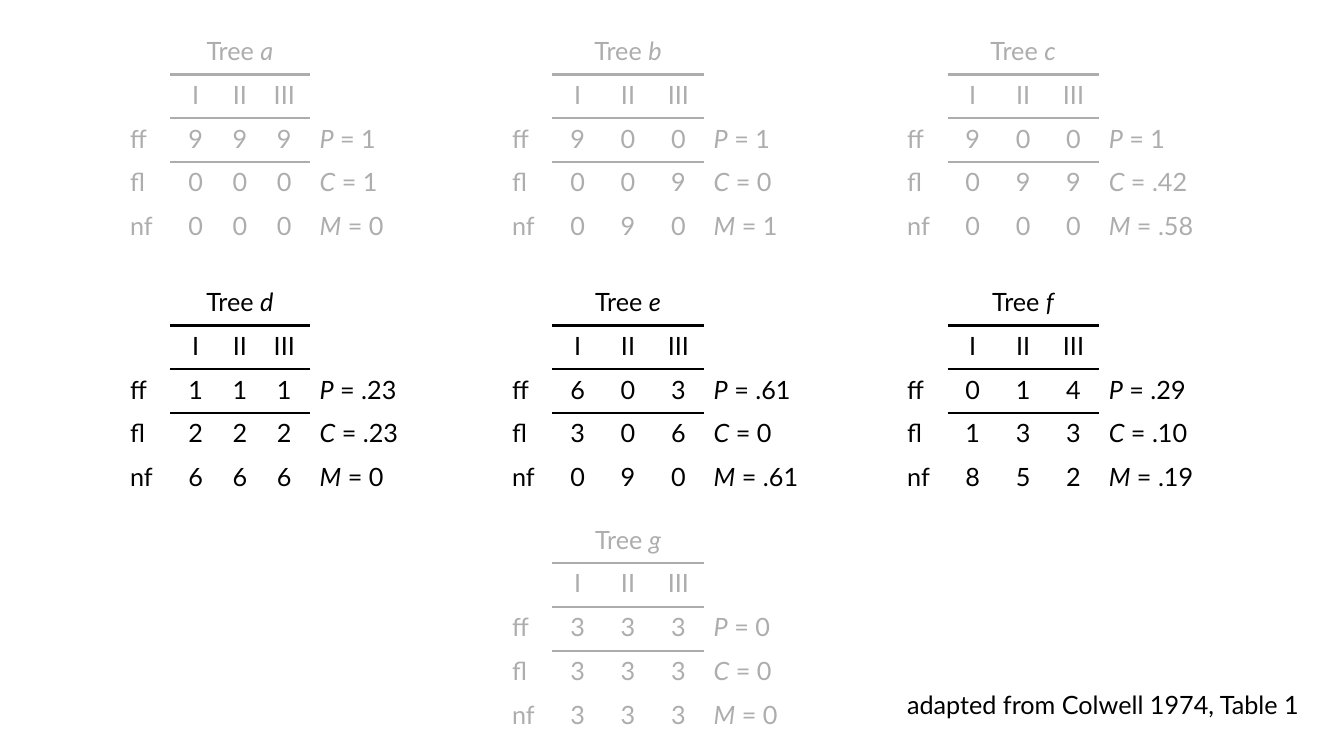
from dataclasses import dataclass

from lxml import etree
from pptx import Presentation
from pptx.dml.color import RGBColor
from pptx.enum.shapes import MSO_SHAPE
from pptx.enum.text import MSO_AUTO_SIZE, PP_ALIGN
from pptx.oxml.ns import qn
from pptx.util import Pt

BLACK = RGBColor(0x00, 0x00, 0x00)
WHITE = RGBColor(0xFF, 0xFF, 0xFF)
RECTANGLE = MSO_SHAPE.RECTANGLE
LEFT, CENTER = PP_ALIGN.LEFT, PP_ALIGN.CENTER
FIT_TEXT = MSO_AUTO_SIZE.SHAPE_TO_FIT_TEXT

FONT = "Lato"
FONT_SIZE = 18
RULE_WIDTH = 2.25
VEIL_OPACITY = 68
PLAIN_STYLE = "{2D5ABB26-0587-4C30-8999-92F81FD0307C}"  # No Style, No Grid

COLUMN_LEFTS = (85.7, 358.6, 640.8)
ROW_TOPS = (21.6, 200.9, 370.8)
ROW_HEIGHT = 31.4
EVEN_WIDTHS = (36, 36, 36, 36, 79.2)
NARROW_WIDTHS = (36, 36, 27.4, 36, 79.2)

SEASONS = ("I", "II", "III")
STATES = ("ff", "fl", "nf")
MEASURES = ("P", "C", "M")


@dataclass(frozen=True)
class Tree:
    name: str
    row: int
    column: int
    counts: tuple[str, str, str]  # one string of digits per state
    measures: tuple[str, str, str]  # values of P, C and M


@dataclass(frozen=True)
class Veil:
    left: float
    top: float
    width: float
    height: float


TREES = (
    Tree("a", 0, 0, ("999", "000", "000"), ("1", "1", "0")),
    Tree("b", 0, 1, ("900", "009", "090"), ("1", "0", "1")),
    Tree("c", 0, 2, ("900", "099", "000"), ("1", ".42", ".58")),
    Tree("d", 1, 0, ("111", "222", "666"), (".23", ".23", "0")),
    Tree("e", 1, 1, ("603", "306", "090"), (".61", "0", ".61")),
    Tree("f", 1, 2, ("014", "133", "852"), (".29", ".10", ".19")),
    Tree("g", 2, 1, ("333", "333", "333"), ("0", "0", "0")),
)
VEILS = (Veil(73.4, 21.6, 807.8, 169.9), Veil(67, 363.6, 527, 169.9))


def write(tf, parts: tuple[str, ...], italic: int = -1, align=LEFT) -> None:
    """Write one run per part; the part at index italic is slanted."""
    p = tf.paragraphs[0]
    p.alignment = align
    for i, part in enumerate(parts):
        r = p.add_run()
        r.text = part
        r.font.name = FONT
        r.font.size = Pt(FONT_SIZE)
        r.font.color.rgb = BLACK
        r.font.italic = i == italic


def add_rule(cell, side: str) -> None:
    """Draw a black border on one side (lnT or lnB) of a cell."""
    tc_pr = cell._tc.get_or_add_tcPr()
    ln = etree.SubElement(tc_pr, qn(f"a:{side}"), w=str(Pt(RULE_WIDTH)))
    fill = etree.SubElement(ln, qn("a:solidFill"))
    etree.SubElement(fill, qn("a:srgbClr"), val=str(BLACK))


def add_tree(slide, tree: Tree) -> None:
    widths = NARROW_WIDTHS if tree.column == 0 else EVEN_WIDTHS
    frame = slide.shapes.add_table(
        5, 5, Pt(COLUMN_LEFTS[tree.column]), Pt(ROW_TOPS[tree.row]),
        Pt(sum(widths)), Pt(5 * ROW_HEIGHT))
    table = frame.table
    table.first_row = table.horz_banding = False
    table._tbl.tblPr.find(qn("a:tableStyleId")).text = PLAIN_STYLE
    for column, width in zip(table.columns, widths):
        column.width = Pt(width)
    for row in table.rows:
        row.height = Pt(ROW_HEIGHT)

    table.cell(0, 1).merge(table.cell(0, 3))
    write(table.cell(0, 1).text_frame, ("Tree ", tree.name), 1, CENTER)
    for c, season in enumerate(SEASONS, start=1):
        write(table.cell(1, c).text_frame, (season,), align=CENTER)
        add_rule(table.cell(0, c), "lnB")
        add_rule(table.cell(1, c), "lnT")
        add_rule(table.cell(1, c), "lnB")
        add_rule(table.cell(2, c), "lnT")

    rows = zip(STATES, tree.counts, MEASURES, tree.measures)
    for r, (state, counts, measure, value) in enumerate(rows, start=2):
        write(table.cell(r, 0).text_frame, (state,))
        for c, count in enumerate(counts, start=1):
            write(table.cell(r, c).text_frame, (count,), align=CENTER)
        write(table.cell(r, 4).text_frame, (measure, f" = {value}"), 0)

    for cell in table.iter_cells():
        cell.fill.background()


def add_veil(slide, veil: Veil) -> None:
    """Fade the trees beneath with a translucent white rectangle."""
    sp = slide.shapes.add_shape(
        RECTANGLE, Pt(veil.left), Pt(veil.top), Pt(veil.width), Pt(veil.height))
    sp.shadow.inherit = False
    sp.line.fill.background()
    sp.fill.solid()
    sp.fill.fore_color.rgb = WHITE
    color = sp.element.spPr.find(f"{qn('a:solidFill')}/{qn('a:srgbClr')}")
    etree.SubElement(color, qn("a:alpha"), val=str(VEIL_OPACITY * 1000))


def add_credit(slide) -> None:
    box = slide.shapes.add_textbox(Pt(640.8), Pt(488.9), Pt(295.9), Pt(28.8))
    tf = box.text_frame
    tf.word_wrap = False
    tf.auto_size = FIT_TEXT
    write(tf, ("adapted from Colwell 1974, Table 1",))


def main() -> None:
    prs = Presentation()
    prs.slide_width, prs.slide_height = Pt(960), Pt(540)
    slide = prs.slides.add_slide(prs.slide_layouts.get_by_name("Blank"))
    for tree in TREES:
        add_tree(slide, tree)
    add_credit(slide)
    for veil in VEILS:
        add_veil(slide, veil)
    prs.save("out.pptx")


if __name__ == "__main__":
    main()
